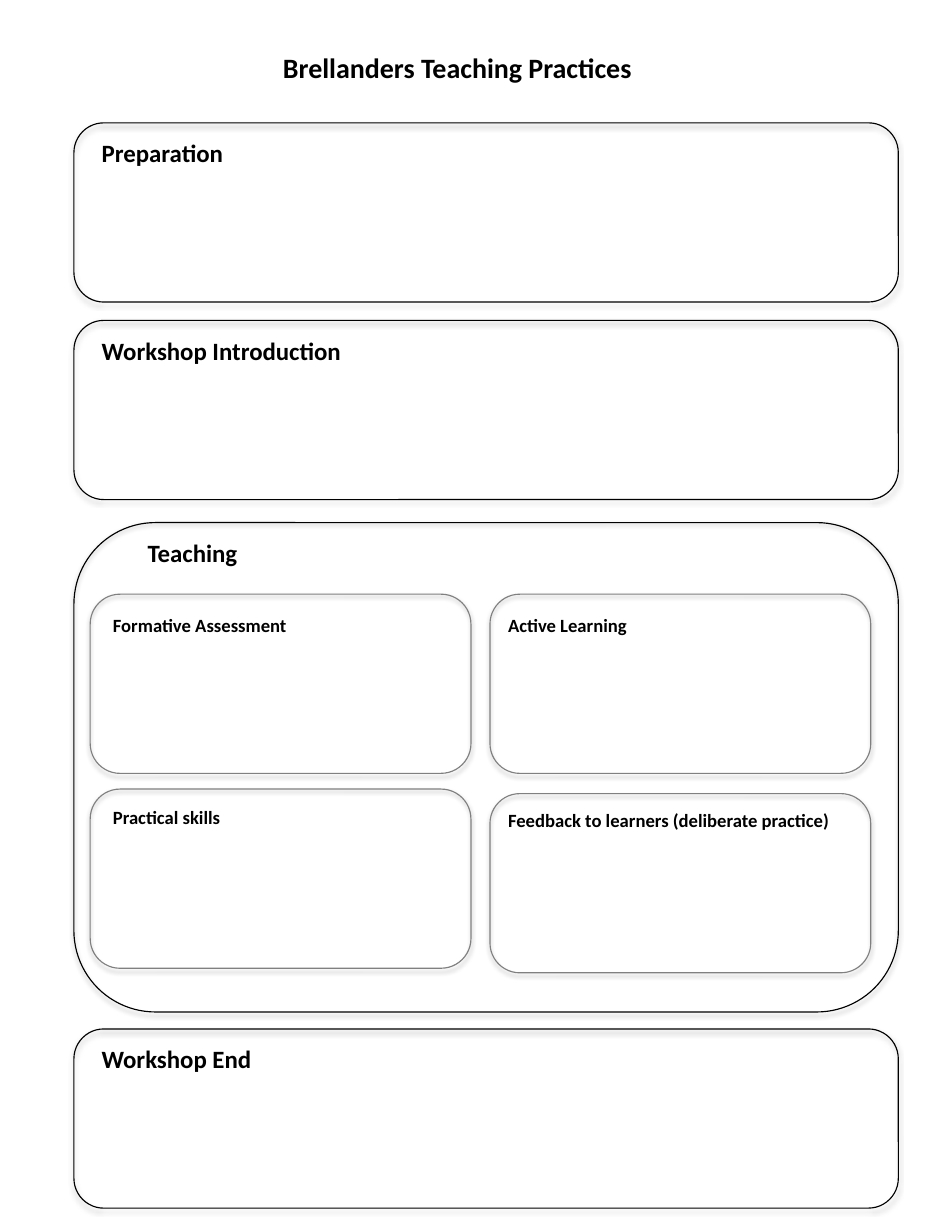
"""Build the one-page worksheet of workshop teaching practices."""
from lxml.etree import SubElement
from pptx import Presentation
from pptx.dml.color import RGBColor
from pptx.enum.shapes import MSO_SHAPE
from pptx.enum.text import MSO_ANCHOR, MSO_AUTO_SIZE as AutoSize, PP_ALIGN
from pptx.oxml.ns import qn
from pptx.util import Pt

BLACK = RGBColor(0x00, 0x00, 0x00)
GRAY = RGBColor(0x80, 0x80, 0x80)
FONT = "Calibri"
SECTION_LEFT, SECTION_WIDTH = 47.5, 530
CARD_WIDTH = 244.8
BOX_HEIGHT = 115.2

SECTIONS = [
    ("Preparation", 58.3, 94.3, 79, BOX_HEIGHT),
    ("Workshop Introduction", 58.3, 171.4, 206, BOX_HEIGHT),
    ("Teaching", 87.8, 74.9, 336, 314.6),
    ("Workshop End", 58.3, 113, 661.5, BOX_HEIGHT),
]
CARDS = [
    ("Formative Assessment", 65.5, 391, 128.2, 58, 382),
    ("Active Learning", 319.5, 391, 92.2, 315, 382),
    ("Practical skills", 65.5, 514.8, 85, 58, 507.3),
    ("Feedback to learners (deliberate practice)", 319.5, 516.7, 224.6, 315, 510.2),
]


def place(shape, left, top, width, height):
    shape.left, shape.top = Pt(left), Pt(top)
    shape.width, shape.height = Pt(width), Pt(height)


def write_text(shape, text, size, color=BLACK, bold=True):
    frame = shape.text_frame
    frame.word_wrap = False
    frame.auto_size = AutoSize.SHAPE_TO_FIT_TEXT
    frame.vertical_anchor = MSO_ANCHOR.TOP
    paragraph = frame.paragraphs[0]
    paragraph.alignment = PP_ALIGN.LEFT
    run = paragraph.add_run()
    run.text = text
    run.font.name, run.font.size, run.font.bold = FONT, Pt(size), bold
    run.font.color.rgb = color


def add_label(slide, text, left, top, width, height, size):
    label = slide.shapes.add_textbox(Pt(left), Pt(top), Pt(width), Pt(height))
    write_text(label, text, size=size)


def add_shadow(shape):
    shape.shadow.inherit = False
    effects = shape._element.spPr.find(qn("a:effectLst"))
    shadow = SubElement(effects, qn("a:outerShdw"), blurRad=str(Pt(3.1)),
                        dist=str(Pt(1.8)), dir="5400000", rotWithShape="0")
    color = SubElement(shadow, qn("a:srgbClr"), val=str(BLACK))
    SubElement(color, qn("a:alpha"), val="35000")


def add_box(slide, left, top, width, height, color):
    box = slide.shapes.add_shape(MSO_SHAPE.ROUNDED_RECTANGLE,
                                 Pt(left), Pt(top), Pt(width), Pt(height))
    box.fill.background()
    box.line.color.rgb = color
    box.line.width = Pt(0.75)
    add_shadow(box)


def main():
    presentation = Presentation()
    presentation.slide_width, presentation.slide_height = Pt(612), Pt(792)
    slide = presentation.slides.add_slide(presentation.slide_layouts[5])
    title = slide.shapes.title
    place(title, 174.7, 28.8, 244.8, 29)
    write_text(title, "Brellanders Teaching Practices", size=18)
    for text, left, width, top, height in SECTIONS:
        add_label(slide, text, left, top + 6, width, 26.6, size=16)
        add_box(slide, SECTION_LEFT, top, SECTION_WIDTH, height, BLACK)
    for text, left, top, width, card_left, card_top in CARDS:
        add_label(slide, text, left, top, width, 21.6, size=12)
        add_box(slide, card_left, card_top, CARD_WIDTH, BOX_HEIGHT, GRAY)
    presentation.save("out.pptx")


main()
